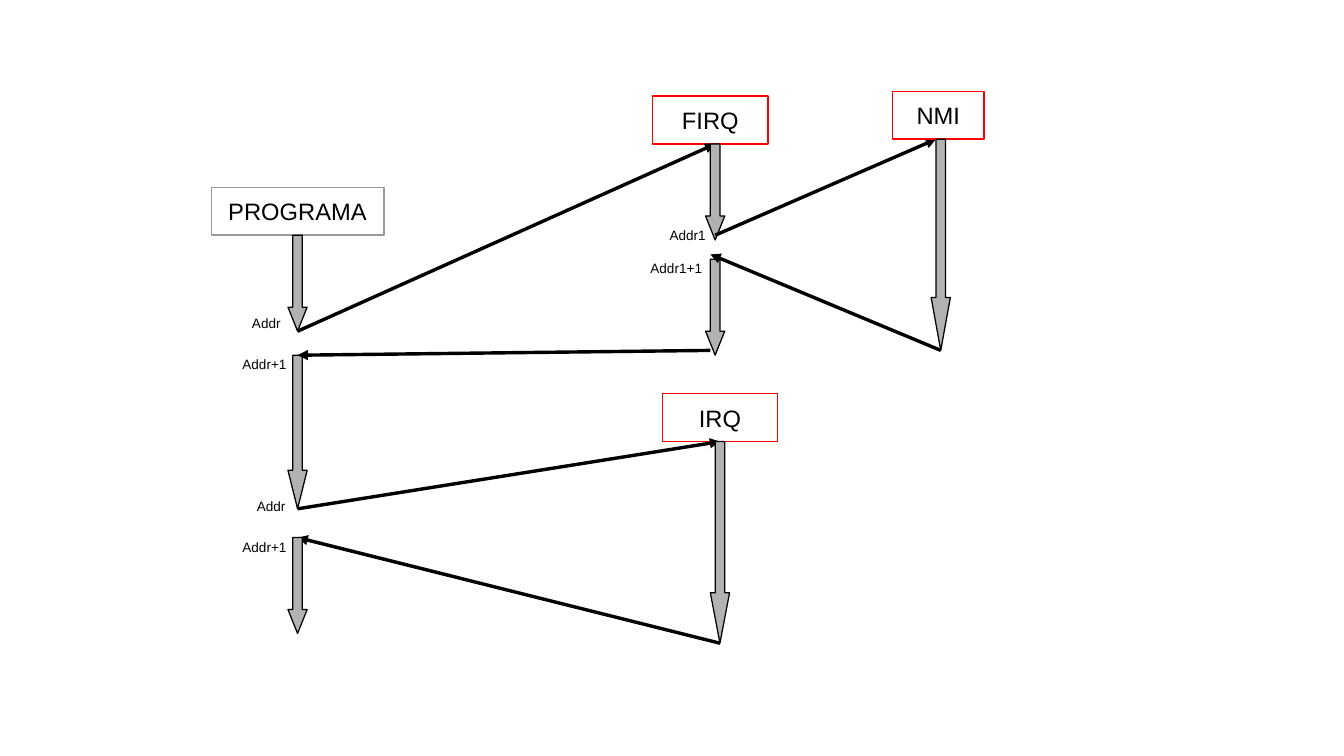
from pptx import Presentation
from pptx import util as u
from pptx.dml.color import RGBColor
from pptx.enum import shapes, text
from pptx.oxml import parse_xml
from pptx.oxml.ns import nsdecls

WHITE = RGBColor(0xFF, 0xFF, 0xFF)
BLACK = RGBColor(0x00, 0x00, 0x00)
RED = RGBColor(0xFF, 0x00, 0x00)
GREY = RGBColor(0x99, 0x99, 0x99)
SILVER = RGBColor(0xB2, 0xB2, 0xB2)

# The slide is a grid of one-millimetre columns and rows
COLUMNS, ROWS = 280, 157.5
BOX_HEIGHT = 10
ARROW_WIDTH = 4
LABEL_HEIGHT = 5.5

# Centre columns of the program and its interrupt routines
PROGRAM, FIRQ, IRQ, NMI = 62, 149, 150, 196


def grid(*lengths):
    return [u.Mm(length) for length in lengths]


def add_run(paragraph, words, size):
    run = paragraph.add_run()
    run.text = words
    run.font.name = "Arial"
    run.font.size = u.Pt(size)
    run.font.color.rgb = BLACK


def add_preset(slide, kind, place, fill, line):
    shape = slide.shapes.add_shape(kind, *grid(*place))
    shape.shadow.inherit = False
    shape.fill.solid()
    shape.fill.fore_color.rgb = fill
    shape.line.color.rgb = line
    shape.line.width = 0
    return shape


def add_box(slide, words, left, top, width, line=RED):
    place = (left, top, width, BOX_HEIGHT)
    shape = add_preset(slide, shapes.MSO_SHAPE.RECTANGLE, place, WHITE, line)
    frame = shape.text_frame
    frame.word_wrap = False
    frame.vertical_anchor = text.MSO_ANCHOR.MIDDLE
    paragraph = frame.paragraphs[0]
    paragraph.alignment = text.PP_ALIGN.CENTER
    add_run(paragraph, words, 14)


def add_flow(slide, centre, top, height):
    """Block arrow for running code; its head takes a quarter of the height."""
    place = (centre - ARROW_WIDTH / 2, top, ARROW_WIDTH, height)
    shape = add_preset(slide, shapes.MSO_SHAPE.DOWN_ARROW, place, SILVER, BLACK)
    shape.adjustments[0] = 0.5
    shape.adjustments[1] = height / 4 / ARROW_WIDTH


def add_jump(slide, start, end):
    """Thin arrow for a call or a return."""
    connector = slide.shapes.add_connector(
        shapes.MSO_CONNECTOR.STRAIGHT, *grid(*start, *end))
    connector.line.color.rgb = BLACK
    connector.line.width = 0
    line = connector.line._get_or_add_ln()
    line.append(parse_xml(f'<a:tailEnd {nsdecls("a")} type="triangle"/>'))
    connector._element.spPr.append(parse_xml(f'<a:effectLst {nsdecls("a")}/>'))


def add_label(slide, words, left, top, width):
    shape = slide.shapes.add_textbox(*grid(left, top, width, LABEL_HEIGHT))
    frame = shape.text_frame
    frame.word_wrap = True
    frame.auto_size = text.MSO_AUTO_SIZE.SHAPE_TO_FIT_TEXT
    add_run(frame.paragraphs[0], words, 8)


def main():
    presentation = Presentation()
    presentation.slide_width, presentation.slide_height = grid(COLUMNS, ROWS)
    slide = presentation.slides.add_slide(presentation.slide_layouts[6])

    # Program and FIRQ routine
    add_box(slide, "PROGRAMA", 44, 39, 36, GREY)
    add_box(slide, "FIRQ", 136, 20, 24)
    add_flow(slide, PROGRAM, 49, 20)
    add_jump(slide, (PROGRAM, 69), (FIRQ, 30))
    add_flow(slide, PROGRAM, 74, 32)
    add_flow(slide, FIRQ, 30, 20)
    add_flow(slide, FIRQ, 54, 20)
    add_jump(slide, (FIRQ - 1, 73), (PROGRAM, 74))

    # NMI routine, nested in FIRQ
    add_jump(slide, (FIRQ, 49), (NMI - 1, 29))
    add_box(slide, "NMI", 186, 19, 19)
    add_flow(slide, NMI, 29, 44)
    add_jump(slide, (NMI, 73), (FIRQ - 1, 53))

    # IRQ routine
    add_box(slide, "IRQ", 138, 82, 24)
    add_jump(slide, (PROGRAM, 106), (IRQ, 92))
    add_flow(slide, IRQ, 92, 42)
    add_jump(slide, (IRQ, 134), (PROGRAM, 112))
    add_flow(slide, PROGRAM, 112, 20)

    # Addresses where each routine stops and resumes
    for label in (
        ("Addr1+1", 133, 53, 16),
        ("Addr1", 137, 46, 14),
        ("Addr", 50, 64.3, 12),
        ("Addr+1", 48, 73, 16),
        ("Addr", 51, 102.4, 12),
        ("Addr+1", 48, 111, 16),
    ):
        add_label(slide, *label)

    presentation.save("out.pptx")


if __name__ == "__main__":
    main()
